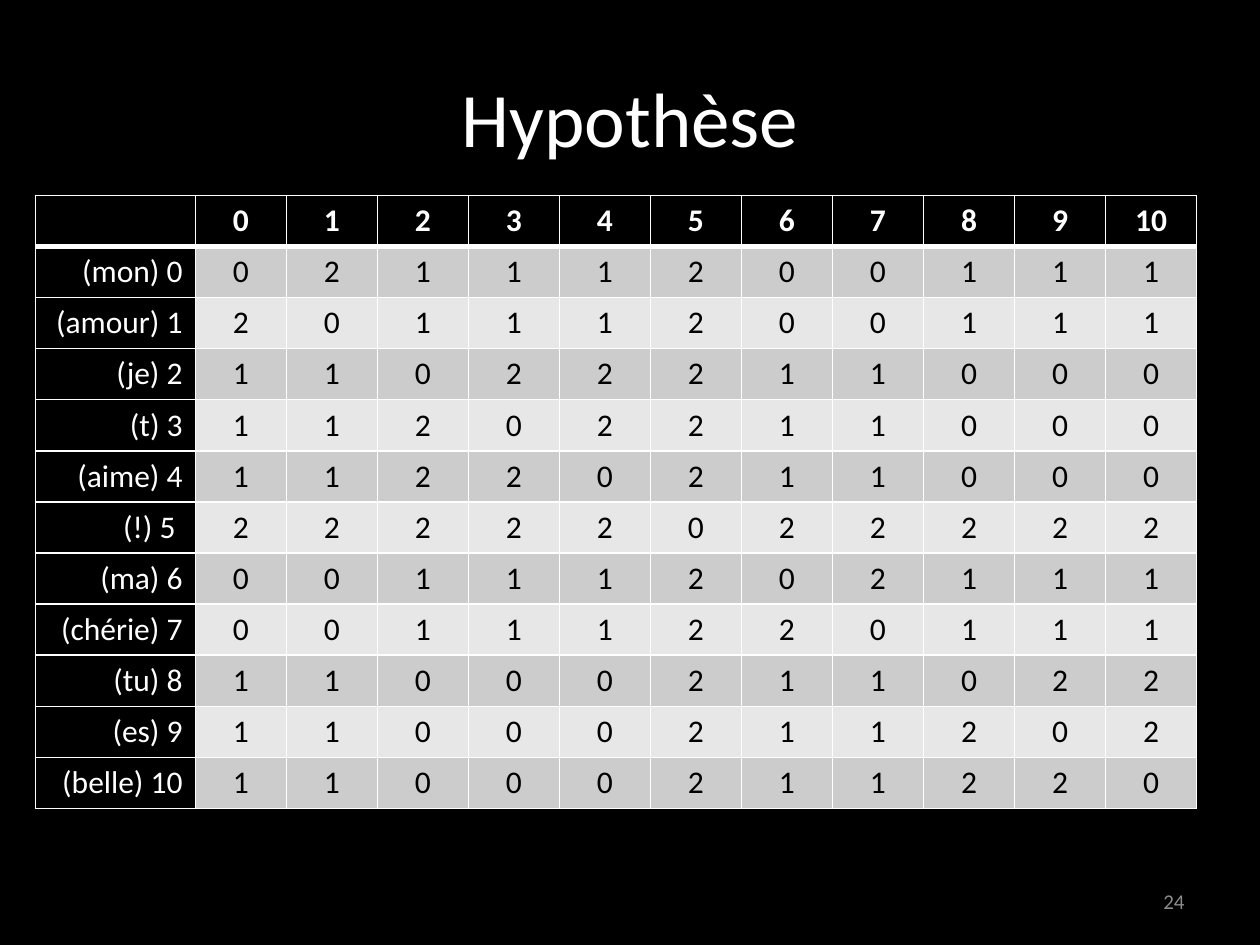
"""Build the "Hypothèse" slide with its word-by-word matrix."""
import lxml.etree
import pptx
import pptx.dml.color
import pptx.enum.text
import pptx.oxml.ns
import pptx.util

Inches = pptx.util.Inches
Pt = pptx.util.Pt
RGBColor = pptx.dml.color.RGBColor
PP_ALIGN = pptx.enum.text.PP_ALIGN
MSO_ANCHOR = pptx.enum.text.MSO_ANCHOR

BLACK = RGBColor(0x00, 0x00, 0x00)
WHITE = RGBColor(0xFF, 0xFF, 0xFF)
PAGE_GRAY = RGBColor(0x8C, 0x8C, 0x8C)
BANDS = (RGBColor(0xCC, 0xCC, 0xCC), RGBColor(0xE7, 0xE7, 0xE7))
FONT = "Calibri"

MATRIX = [
    ("(mon) 0", "02111200111"),
    ("(amour) 1", "20111200111"),
    ("(je) 2", "11022211000"),
    ("(t) 3", "11202211000"),
    ("(aime) 4", "11220211000"),
    ("(!) 5 ", "22222022222"),
    ("(ma) 6", "00111202111"),
    ("(chérie) 7", "00111220111"),
    ("(tu) 8", "11000211022"),
    ("(es) 9", "11000211202"),
    ("(belle) 10", "11000211220"),
]
TABLE_WIDTH, TABLE_HEIGHT, LABEL_WIDTH = 9.22, 4.87, 1.27


def write_text(paragraph, text, size, color, alignment, bold=False):
    paragraph.alignment = alignment
    run = paragraph.add_run()
    run.text = text
    run.font.name = FONT
    run.font.size = Pt(size)
    run.font.bold = bold
    run.font.color.rgb = color


def add_text(slide, box, text, size, color, alignment):
    shape = slide.shapes.add_textbox(*(Inches(length) for length in box))
    frame = shape.text_frame
    frame.word_wrap = True
    frame.vertical_anchor = MSO_ANCHOR.MIDDLE
    write_text(frame.paragraphs[0], text, size, color, alignment)


def set_borders(cell, top, bottom):
    properties = cell._tc.get_or_add_tcPr()
    for side, width in (("L", 1), ("R", 1), ("T", top), ("B", bottom)):
        line = lxml.etree.SubElement(
            properties, pptx.oxml.ns.qn(f"a:ln{side}"), w=str(Pt(width)))
        fill = lxml.etree.SubElement(line, pptx.oxml.ns.qn("a:solidFill"))
        lxml.etree.SubElement(
            fill, pptx.oxml.ns.qn("a:srgbClr"), val=str(WHITE))


def style_cell(cell, row, column, text):
    is_header, is_label = row == 0, column == 0
    set_borders(cell, 3 if row == 1 else 1, 3 if is_header else 1)
    dark = is_header or is_label
    cell.fill.solid()
    cell.fill.fore_color.rgb = BLACK if dark else BANDS[(row - 1) % 2]
    cell.vertical_anchor = MSO_ANCHOR.MIDDLE
    if text:
        write_text(cell.text_frame.paragraphs[0], text, 18,
                   WHITE if dark else BLACK,
                   PP_ALIGN.RIGHT if is_label else PP_ALIGN.CENTER, is_header)


def add_matrix(slide):
    header = ["", *(str(index) for index in range(len(MATRIX)))]
    rows = [header, *([label, *values] for label, values in MATRIX)]
    table = slide.shapes.add_table(
        len(rows), len(header), Inches(0.28), Inches(1.55),
        Inches(TABLE_WIDTH), Inches(TABLE_HEIGHT)).table
    value_width = (TABLE_WIDTH - LABEL_WIDTH) / len(MATRIX)
    for index, column in enumerate(table.columns):
        column.width = Inches(value_width if index else LABEL_WIDTH)
    for row, texts in enumerate(rows):
        table.rows[row].height = Inches(TABLE_HEIGHT / len(rows))
        for column, text in enumerate(texts):
            style_cell(table.cell(row, column), row, column, text)


def main():
    presentation = pptx.Presentation()
    presentation.slide_width = Inches(10)
    presentation.slide_height = Inches(7.5)
    slide = presentation.slides.add_slide(presentation.slide_layouts[6])
    slide.background.fill.solid()
    slide.background.fill.fore_color.rgb = BLACK
    add_text(slide, (0.5, 0.3, 9, 1.25), "Hypothèse", 44, WHITE, PP_ALIGN.CENTER)
    add_text(slide, (7.17, 6.95, 2.33, 0.4), "24", 12, PAGE_GRAY, PP_ALIGN.RIGHT)
    add_matrix(slide)
    presentation.save("out.pptx")


if __name__ == "__main__":
    main()
